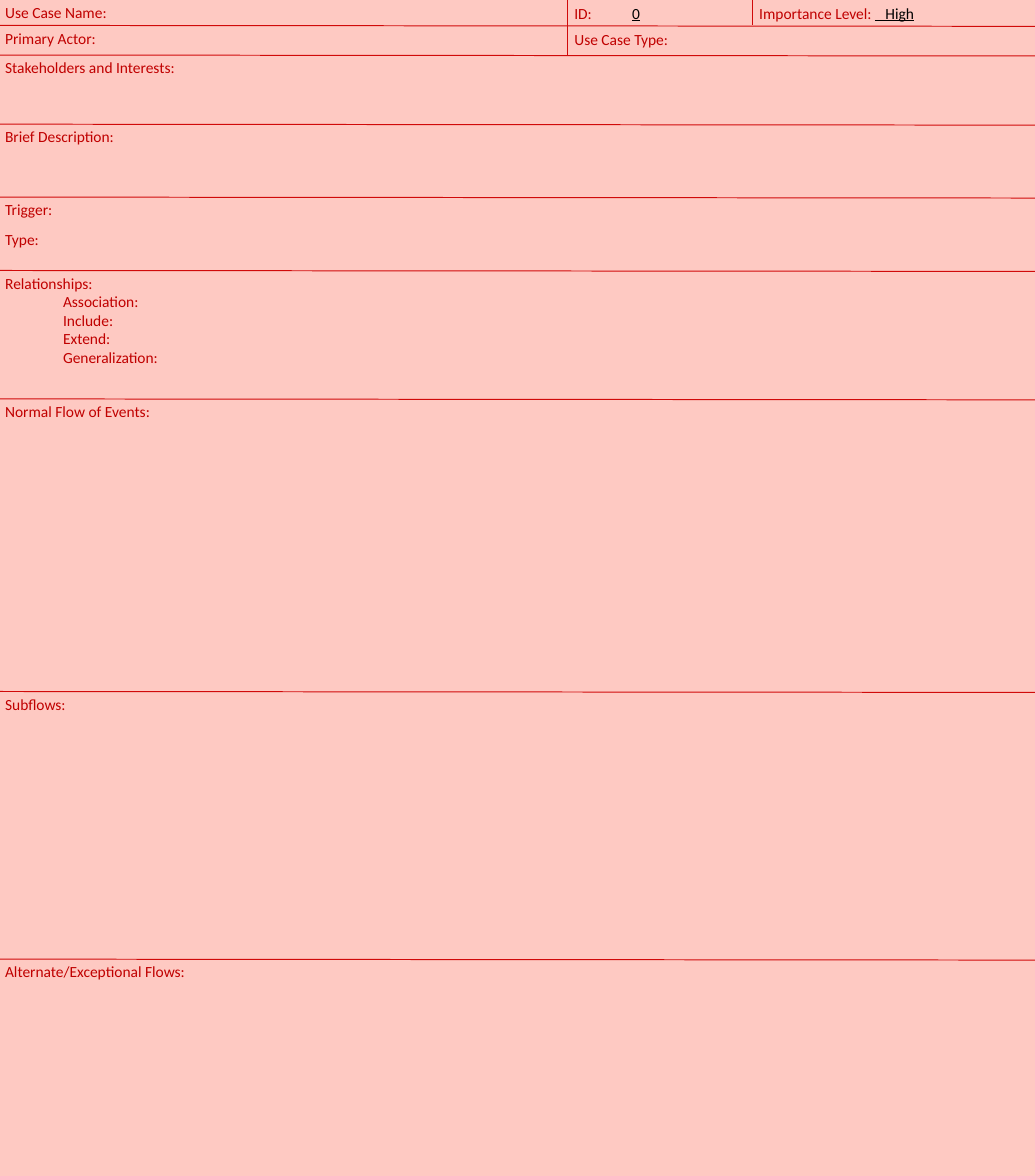
import pptx
import pptx.util
import pptx.dml.color
import pptx.enum.shapes
import pptx.enum.text
import pptx.oxml.ns
import lxml.etree

SLIDE_W, SLIDE_H = 22, 25
PINK, RED, LABEL, VALUE = "FEC9C2", "D00A0A", "C00000", "000000"
FONT, FONT_SIZE = "Calibri", 23.7
TAB, TILT, LINE_H = 1.23, 0.02, 0.4

# Form content: row top, then cells of (column, offset in row, width, paragraphs);
# a paragraph is (indent level, [(text, underlined), ...])
def label(text, level=0):
    return level, [(text, False)]

ID_COLUMN, LEVEL_COLUMN = 12.06, 15.99
use_case_name = label("Use Case Name:")
relationships = [label("Relationships:")] + [
    label(kind, 1) for kind in ("Association:", "Include:", "Extend:", "Generalization:")]
ROWS = [
    (0, [(0, 0, 2.46, [use_case_name]),
         (ID_COLUMN, 0.01, 2.76, [(0, [("ID: \t", False), ("0", True)])]),
         (LEVEL_COLUMN, 0.01, 3.93,
          [(0, [("Importance Level:\t", False), ("   High", True)])])]),
    (0.54, [(0, 0, 2.23, [label("Primary Actor:")]),
            (ID_COLUMN, 0.02, 2.29, [label("Use Case Type:")])]),
    (1.17, [(0, 0, 3.93, [label("Stakeholders and Interests:")])]),
    (2.64, [(0, 0, 2.63, [label("Brief Description:")])]),
    (4.19, [(0, 0, 1.29, [label("Trigger:")]),
            (0, 0.63, 1, [label("Type:")])]),
    (5.75, [(0, 0, 3.49, relationships)]),
    (8.48, [(0, 0, 3.4, [label("Normal Flow of Events:")])]),
    (14.7, [(0, 0, 1.59, [label("Subflows:")])]),
    (20.39, [(0, 0, 4.16, [label("Alternate/Exceptional Flows:")])]),
]


def inches(*lengths):
    return [pptx.util.Inches(length) for length in lengths]


def color(hex_string):
    return pptx.dml.color.RGBColor.from_string(hex_string)


def draw_rule(x1, y1, x2, y2):
    rule = slide.shapes.add_connector(
        pptx.enum.shapes.MSO_CONNECTOR.STRAIGHT, *inches(x1, y1, x2, y2))
    rule.line.color.rgb = color(RED)
    rule.line.width = pptx.util.Pt(1.5)
    lxml.etree.SubElement(rule._element.spPr, pptx.oxml.ns.qn("a:effectLst"))


def write_cell(field, left, top, width, paragraphs):
    field.left, field.top, field.width, field.height = inches(
        left, top, width, 0.1 + LINE_H * len(paragraphs))
    frame = field.text_frame
    frame.word_wrap = False
    frame.auto_size = pptx.enum.text.MSO_AUTO_SIZE.NONE
    frame.vertical_anchor = pptx.enum.text.MSO_ANCHOR.TOP
    for number, (level, runs) in enumerate(paragraphs):
        paragraph = frame.add_paragraph() if number else frame.paragraphs[0]
        paragraph.alignment = pptx.enum.text.PP_ALIGN.LEFT
        paragraph.space_before = pptx.util.Pt(0)
        properties = paragraph._p.get_or_add_pPr()
        properties.set("marL", str(pptx.util.Inches(TAB * level)))
        properties.set("indent", "0")
        properties.set("defTabSz", str(pptx.util.Inches(TAB)))
        lxml.etree.SubElement(properties, pptx.oxml.ns.qn("a:buNone"))
        for text, underlined in runs:
            run = paragraph.add_run()
            run.text = text
            run.font.name = FONT
            run.font.size = pptx.util.Pt(FONT_SIZE)
            run.font.color.rgb = color(VALUE if underlined else LABEL)
            run.font.underline = underlined


# Slide with its title and list placeholders
presentation = pptx.Presentation()
presentation.slide_width, presentation.slide_height = inches(SLIDE_W, SLIDE_H)
slide = presentation.slides.add_slide(presentation.slide_layouts[1])
slide.background.fill.solid()
slide.background.fill.fore_color.rgb = color(PINK)

# Rules between rows, dividers between columns, and the cells
row_tops = [top for top, cells in ROWS]
row_bottoms = row_tops[1:] + [SLIDE_H]
for (top, cells), bottom in zip(ROWS, row_bottoms):
    if top:
        draw_rule(0, top, SLIDE_W, top + TILT)
    for column, offset, width, paragraphs in cells:
        if column:
            draw_rule(column, top, column, bottom)
        if paragraphs == [use_case_name]:
            field = slide.shapes.title
        elif paragraphs is relationships:
            field = slide.placeholders[1]
        else:
            field = slide.shapes.add_textbox(*inches(0, 0, 1, 1))
        write_cell(field, column + (0.05 if column else 0.01),
                   top + TILT + offset, width, paragraphs)

presentation.save("out.pptx")
